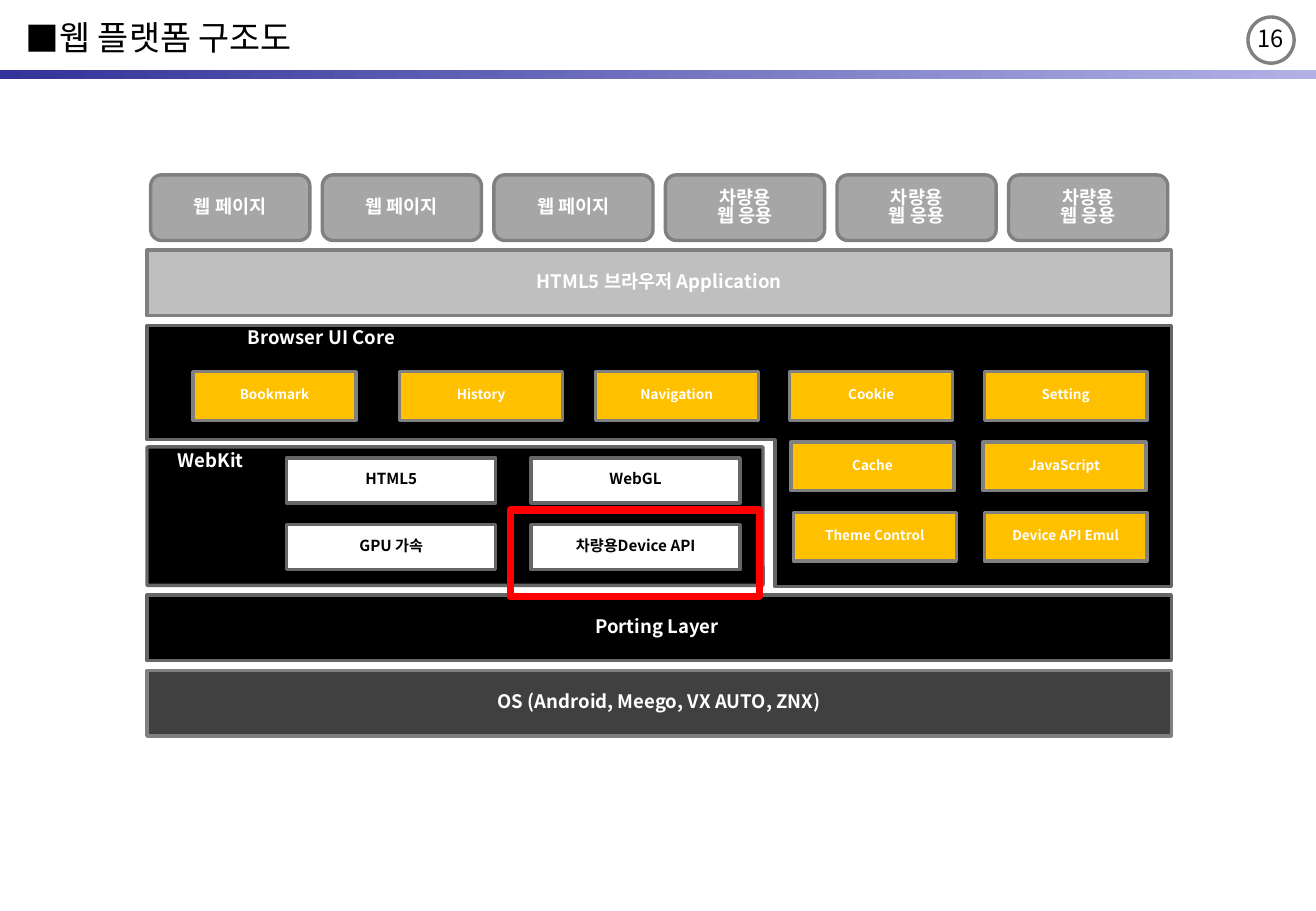
"""Build the web platform architecture slide."""
import pptx
import pptx.util
import pptx.oxml.ns
import pptx.dml.color
import pptx.enum.shapes
import pptx.enum.text
import lxml.etree

FONT = "Noto Sans CJK KR"
SHAPE = pptx.enum.shapes.MSO_SHAPE
ALIGN = pptx.enum.text.PP_ALIGN
MIDDLE = pptx.enum.text.MSO_ANCHOR.MIDDLE
Inches, Pt = pptx.util.Inches, pptx.util.Pt
rgb = pptx.dml.color.RGBColor.from_string


def write(sp, text, size, color="FFFFFF", bold=True, align=ALIGN.CENTER, spacing=0.82, **frame):
    tf = sp.text_frame
    tf.text = text
    for name, value in frame.items():
        setattr(tf, name, value)
    for p in tf.paragraphs:
        p.alignment = align
        p.line_spacing = spacing
        for r in p.runs:
            for name, value in {"name": FONT, "size": Pt(size), "bold": bold}.items():
                setattr(r.font, name, value)
            r.font.color.rgb = rgb(color)
            ea = lxml.etree.SubElement(r.font._element, pptx.oxml.ns.qn("a:ea"))
            ea.set("typeface", FONT)
            r.font._element.find(pptx.oxml.ns.qn("a:latin")).addnext(ea)


def style(sp, fill, line, adj=(), width=2, text="", size=11, color="FFFFFF", bold=True):
    sp.shadow.inherit = False
    if fill:
        sp.fill.solid()
        sp.fill.fore_color.rgb = rgb(fill)
    else:
        sp.fill.background()
    sp.line.color.rgb = rgb(line)
    sp.line.width = Pt(width)
    for i, value in enumerate(adj):
        sp.adjustments[i] = value
    if text:
        write(sp, text, size, color, bold, word_wrap=False, vertical_anchor=MIDDLE)


prs = pptx.Presentation()
prs.slide_width, prs.slide_height = Inches(10.83), Inches(7.5)
s = prs.slides.add_slide(prs.slide_layouts[5])

bar = s.shapes.add_shape(SHAPE.RECTANGLE, 0, Inches(0.58), prs.slide_width, Inches(0.07))
bar.shadow.inherit = False
bar.line.fill.background()
bar.fill.gradient()
bar.fill.gradient_angle = 0
for stop, color in zip(bar.fill.gradient_stops, ("333399", "B1B1E5")):
    stop.color.rgb = rgb(color)

title = s.shapes.title
for name, value in {"left": 0.11, "top": 0.04, "width": 8.85, "height": 0.53}.items():
    setattr(title, name, Inches(value))
write(title, "웹 플랫폼 구조도", 20, "000000", False, ALIGN.LEFT, 1.0, vertical_anchor=MIDDLE)
pPr = title.text_frame.paragraphs[0]._p.get_or_add_pPr()
pPr.set("marL", str(Inches(0.23)))
pPr.set("indent", str(-Inches(0.23)))
lxml.etree.SubElement(pPr, pptx.oxml.ns.qn("a:buFont")).set("typeface", FONT)
lxml.etree.SubElement(pPr, pptx.oxml.ns.qn("a:buChar")).set("char", "■")

LEFT, FULL, ROW = 1.21, 8.43, 0.54
RIGHT = LEFT + FULL
BOX = SHAPE.ROUNDED_RECTANGLE

fb = s.shapes.build_freeform(Inches(LEFT), Inches(2.68))
outline = [(RIGHT, 2.68), (RIGHT, 4.83), (6.38, 4.83), (6.38, 3.62), (LEFT, 3.62)]
fb.add_line_segments([(Inches(x), Inches(y)) for x, y in outline])
style(fb.convert_to_shape(), "000000", "666666")

number = {"text": "16", "size": 14, "color": "000000", "bold": False}
blocks = [
    (SHAPE.OVAL, 10.27, 0.14, 0.38, 0.38, "FFFFFF", "808080", (), number),
    (BOX, LEFT, 3.68, 5.07, 1.14, "000000", "666666", [0.007], {}),
]

for i, text in enumerate(["웹 페이지"] * 3 + ["차량용\n웹 응용"] * 3):
    blocks.append((BOX, 1.24 + 1.412 * i, 1.44, 1.31, ROW, "A6A6A6", "808080", (), {"text": text}))

layers = [
    (2.06, "BFBFBF", "808080", "HTML5 브라우저 Application"),
    (4.9, "000000", "666666", "Porting Layer "),
    (5.52, "404040", "808080", "OS (Android, Meego, VX AUTO, ZNX)"),
]
for y, fill, line, text in layers:
    blocks.append((BOX, LEFT, y, FULL, ROW, fill, line, [0], {"text": text}))

ui_rows = [
    (3.06, [(1.59, "Bookmark"), (3.29, "History"), (4.9, "Navigation"),
            (6.5, "Cookie"), (8.1, "Setting")]),
    (3.64, [(6.51, "Cache"), (8.09, "JavaScript")]),
    (4.22, [(6.53, "Theme Control"), (8.1, "Device API Emul")]),
]
for y, modules in ui_rows:
    for x, text in modules:
        blocks.append((BOX, x, y, 1.34, 0.4, "FFC000", "808080", [0], {"text": text, "size": 8}))

engine = [["HTML5", "WebGL"], ["GPU 가속", "차량용Device API"]]
for row, names in enumerate(engine):
    for col, text in enumerate(names):
        blocks.append((BOX, 2.36 + 2.01 * col, 3.77 + 0.55 * row, 1.72, 0.37, "FFFFFF", "666666",
                       [0], {"text": text, "size": 9, "color": "000000"}))

blocks.append((SHAPE.RECTANGLE, 4.2, 4.2, 2.05, 0.71, None, "FF0000", (), {"width": 4.5}))

for kind, x, y, w, h, fill, line, adj, fmt in blocks:
    sp = s.shapes.add_shape(kind, Inches(x), Inches(y), Inches(w), Inches(h))
    style(sp, fill, line, adj, **fmt)

for y, w, text in [(2.67, 2.87, "Browser UI Core"), (3.68, 1.05, "WebKit")]:
    label = s.shapes.add_textbox(Inches(LEFT), Inches(y), Inches(w), Inches(0.42))
    write(label, text, 11, word_wrap=True)

prs.save("out.pptx")
